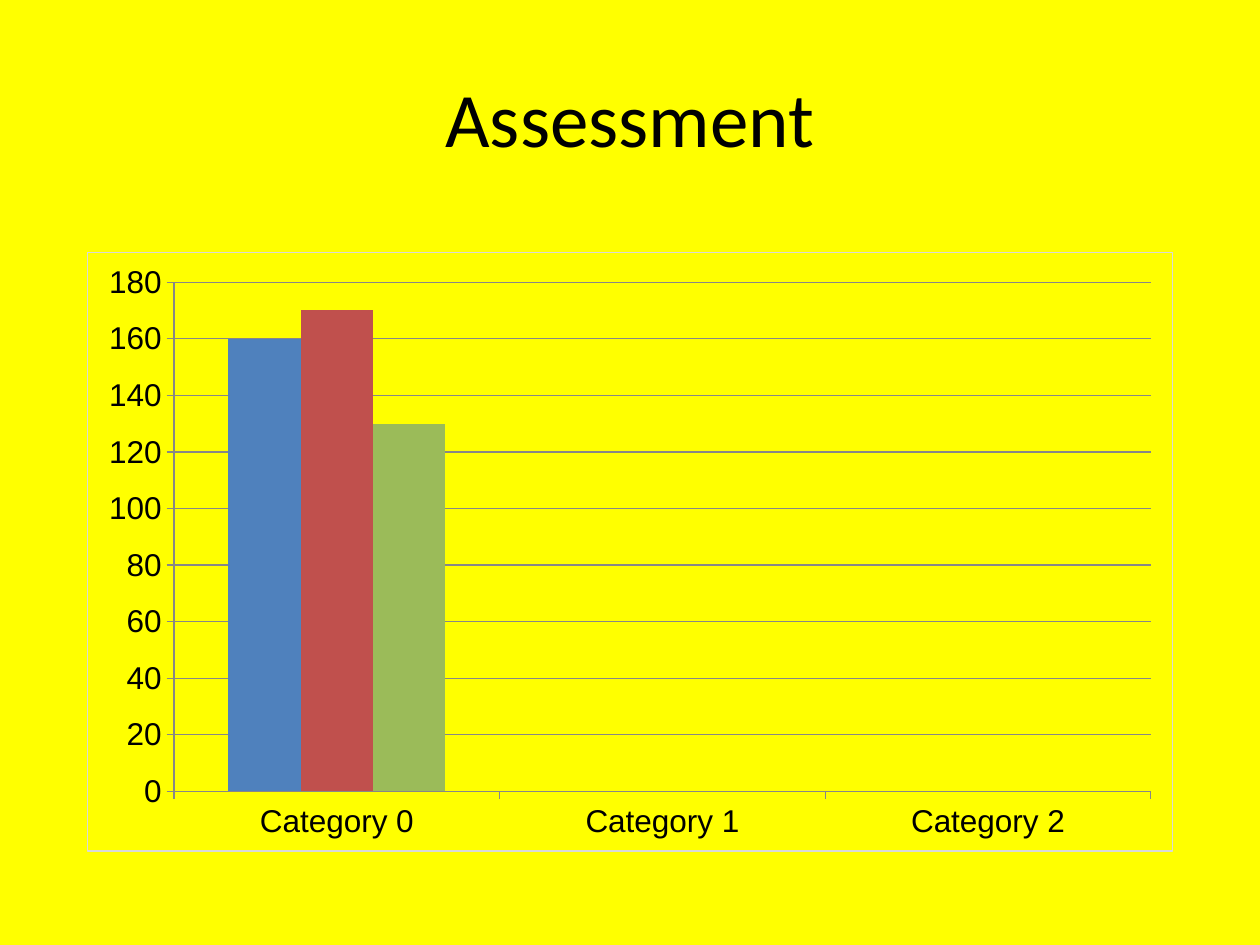
from dataclasses import dataclass

import lxml.etree
import pptx
import pptx.chart.axis
import pptx.chart.chart
import pptx.chart.data
import pptx.dml.color
import pptx.dml.fill
import pptx.enum.chart
import pptx.enum.text
import pptx.oxml
import pptx.text.text
import pptx.util
from pptx.util import Cm

BLACK = "000000"
AXIS_GRAY = "878787"
CATEGORIES = ["Category 0", "Category 1", "Category 2"]


@dataclass(frozen=True)
class ScoreSeries:
    name: str
    values: tuple[float | None, ...]
    color: str


SCORES = [
    ScoreSeries("Series 1", (160, None, None), "4F81BD"),
    ScoreSeries("Series 2", (170, None, None), "C0504D"),
    ScoreSeries("Series 3", (130, None, None), "9BBB59"),
]


def paint(fill: pptx.dml.fill.FillFormat, color: str) -> None:
    fill.solid()
    fill.fore_color.rgb = pptx.dml.color.RGBColor.from_string(color)


def format_font(font: pptx.text.text.Font, *, size: float, name: str, color: str = BLACK) -> None:
    font.size = pptx.util.Pt(size)
    font.name = name
    paint(font.fill, color)


def write_text(frame: pptx.text.text.TextFrame, text: str, *, size: float, name: str) -> None:
    frame.word_wrap = True
    frame.vertical_anchor = pptx.enum.text.MSO_ANCHOR.MIDDLE
    paragraph = frame.paragraphs[0]
    paragraph.alignment = pptx.enum.text.PP_ALIGN.CENTER
    run = paragraph.add_run()
    run.text = text
    format_font(run.font, size=size, name=name)


def format_axis(axis: pptx.chart.axis._BaseAxis, *, gridlines: bool) -> None:
    axis.has_major_gridlines = gridlines
    lines = [axis.format.line]
    if gridlines:
        lines.append(axis.major_gridlines.format.line)
    for line in lines:
        line.width = pptx.util.Pt(0.75)
        paint(line.fill, AXIS_GRAY)
    axis.major_tick_mark = pptx.enum.chart.XL_TICK_MARK.OUTSIDE
    axis.minor_tick_mark = pptx.enum.chart.XL_TICK_MARK.NONE
    format_font(axis.tick_labels.font, size=18, name="Arial")


def outline_chart(chart: pptx.chart.chart.Chart, color: str, width: float) -> None:
    namespaces = " ".join(pptx.oxml.ns.nsdecls(prefix) for prefix in ("c", "a"))
    border = pptx.oxml.parse_xml(
        f"<c:spPr {namespaces}><a:noFill/>"
        f'<a:ln w="{pptx.util.Pt(width)}"><a:solidFill><a:srgbClr val="{color}"/>'
        "</a:solidFill></a:ln></c:spPr>"
    )
    chart._chartSpace.find(pptx.oxml.ns.qn("c:chart")).addnext(border)


def add_score_chart(slide: pptx.slide.Slide) -> None:
    data = pptx.chart.data.CategoryChartData()
    data.categories = CATEGORIES
    for score in SCORES:
        data.add_series(score.name, score.values)
    chart = slide.shapes.add_chart(
        pptx.enum.chart.XL_CHART_TYPE.COLUMN_CLUSTERED,
        Cm(1.75), Cm(5.08), Cm(21.9), Cm(12.09), data,
    ).chart
    chart.has_title = False
    chart.has_legend = False
    format_font(chart.font, size=10, name="Arial")
    format_axis(chart.category_axis, gridlines=False)
    format_axis(chart.value_axis, gridlines=True)
    chart.value_axis.tick_labels.number_format = "General"
    chart.value_axis.tick_labels.number_format_is_linked = False
    columns = chart.plots[0]
    columns.gap_width = 150
    columns.vary_by_categories = False
    for column, score in zip(columns.series, SCORES):
        paint(column.format.fill, score.color)
    outline_chart(chart, "D9D9D9", 0.75)


def main() -> None:
    presentation = pptx.Presentation()
    presentation.slide_width, presentation.slide_height = Cm(25.4), Cm(19.05)
    slide = presentation.slides.add_slide(presentation.slide_layouts[5])
    paint(slide.background.fill, "FFFF00")
    title = slide.shapes.title
    title.left, title.top, title.width, title.height = Cm(1.27), Cm(0.76), Cm(22.86), Cm(3.18)
    write_text(title.text_frame, "Assessment", size=44, name="Calibri")
    add_score_chart(slide)
    presentation.save("out.pptx")


if __name__ == "__main__":
    main()
